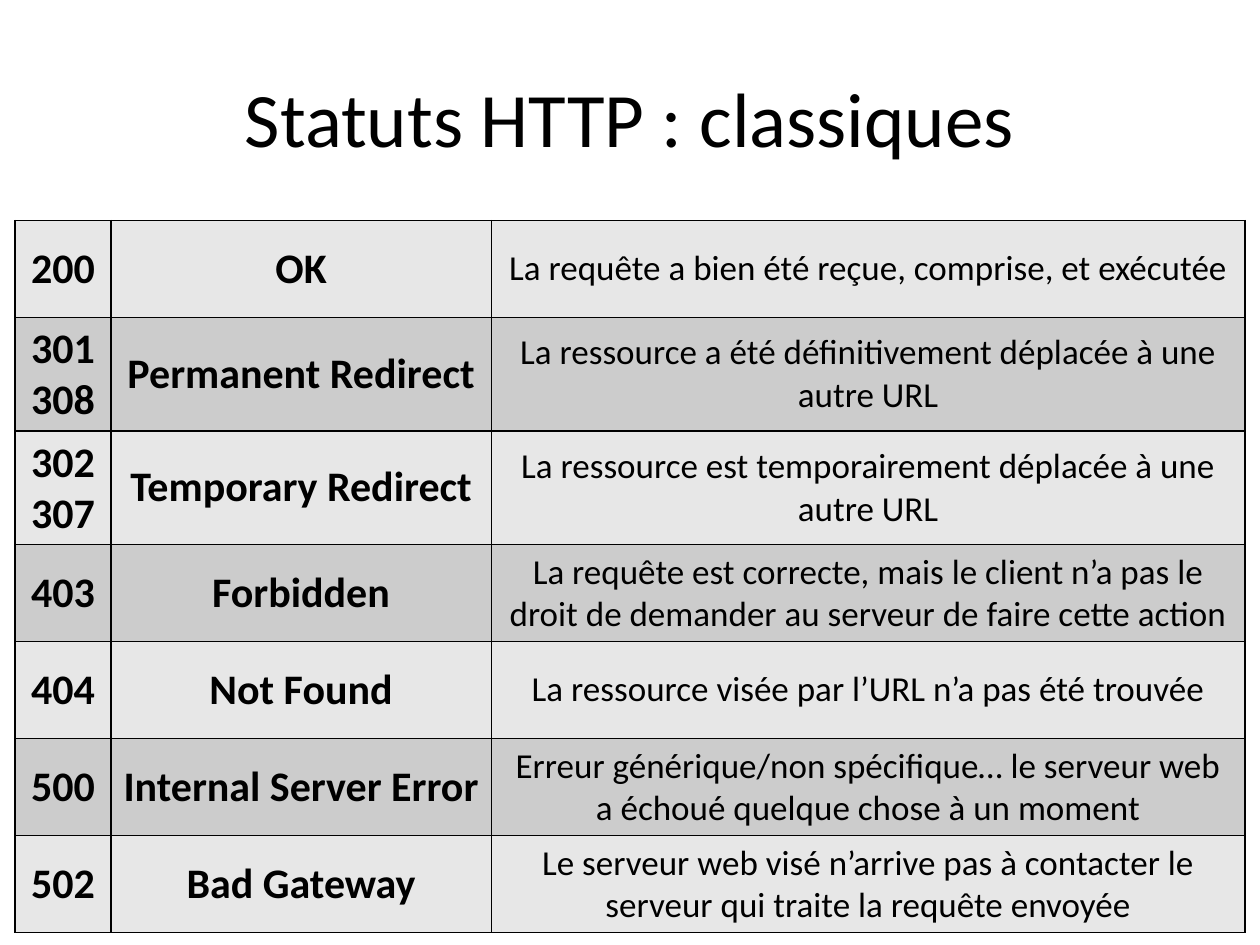
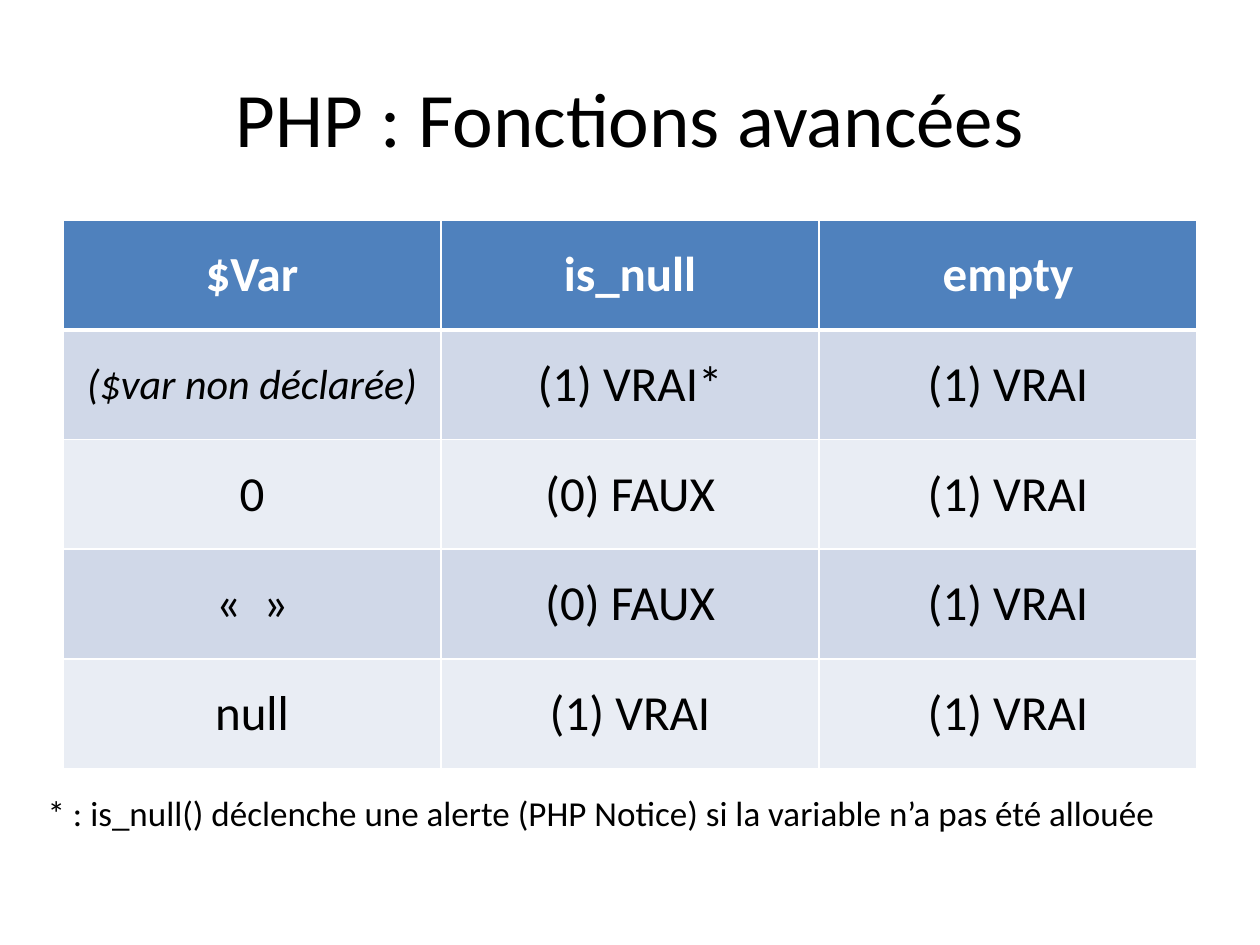
"""Build two slides of tables: common HTTP statuses and PHP null checks."""
from lxml import etree
from pptx import Presentation
from pptx.dml.color import RGBColor
from pptx.enum import text
from pptx.oxml.ns import qn
from pptx.util import Inches, Pt

FONT = "Calibri"
BLACK = RGBColor(0x00, 0x00, 0x00)
WHITE = RGBColor(0xFF, 0xFF, 0xFF)
BLUE = RGBColor(0x4F, 0x81, 0xBD)
GREY_BANDS = (RGBColor(0xE7, 0xE7, 0xE7), RGBColor(0xCC, 0xCC, 0xCC))
BLUE_BANDS = (RGBColor(0xD0, 0xD8, 0xE8), RGBColor(0xE9, 0xED, 0xF4))

STATUS_TITLE = "Statuts HTTP : classiques"
STATUS_WIDTHS = (0.76, 3.02, 5.98)
STATUSES = [
    ("200", "OK", "La requête a bien été reçue, comprise, et exécutée"),
    ("301 308", "Permanent Redirect",
     "La ressource a été définitivement déplacée à une autre URL"),
    ("302 307", "Temporary Redirect",
     "La ressource est temporairement déplacée à une autre URL"),
    ("403", "Forbidden",
     "La requête est correcte, mais le client n’a pas le droit de demander "
     "au serveur de faire cette action"),
    ("404", "Not Found", "La ressource visée par l’URL n’a pas été trouvée"),
    ("500", "Internal Server Error",
     "Erreur générique/non spécifique… le serveur web a échoué quelque chose à un moment"),
    ("502", "Bad Gateway",
     "Le serveur web visé n’arrive pas à contacter le serveur qui traite la requête envoyée"),
]

CHECK_TITLE = "PHP : Fonctions avancées"
CHECK_WIDTHS = (3, 3, 3)
UNDECLARED = "($var non déclarée)"
CHECKS = [
    ("$Var", "is_null", "empty"),
    (UNDECLARED, "(1) VRAI*", " VRAI"),
    ("0", "(0) FAUX", " VRAI"),
    ("«  »", "(0) FAUX", " VRAI"),
    ("null", "(1) VRAI", " VRAI"),
]
CHECK_NOTE = "* : is_null() déclenche une alerte (PHP Notice) si la variable n’a pas été allouée"


def write(frame, words, size=20, color=BLACK, bold=False, italic=False,
          align=text.PP_ALIGN.CENTER, numbered=False):
    para = frame.paragraphs[0]
    para.alignment = align
    if numbered:
        props = para._p.get_or_add_pPr()
        props.set("marL", str(Inches(0.38)))
        props.set("indent", str(-Inches(0.38)))
        etree.SubElement(props, qn("a:buFont"), typeface="+mj-lt")
        etree.SubElement(props, qn("a:buAutoNum"), type="arabicParenBoth")
    span = para.add_run()
    span.text = words
    font = span.font
    font.name, font.size, font.bold, font.italic = FONT, Pt(size), bold, italic
    font.color.rgb = color


def add_text(page, place, words, anchor=text.MSO_ANCHOR.TOP, **style):
    box = page.shapes.add_textbox(*map(Inches, place))
    box.text_frame.word_wrap = True
    box.text_frame.vertical_anchor = anchor
    write(box.text_frame, words, **style)


def add_page(deck, title):
    page = deck.slides.add_slide(deck.slide_layouts[6])
    add_text(page, (0.5, 0.3, 9, 1.25), title, text.MSO_ANCHOR.MIDDLE, size=44)
    return page


def set_borders(cell, color, top=1, bottom=1):
    props = cell._tc.get_or_add_tcPr()
    for side, points in (("L", 1), ("R", 1), ("T", top), ("B", bottom)):
        line = etree.SubElement(props, qn("a:ln" + side), w=str(Pt(points)))
        fill = etree.SubElement(line, qn("a:solidFill"))
        etree.SubElement(fill, qn("a:srgbClr"), val=str(color))


def add_grid(page, left, widths, row_height, rows, describe):
    table = page.shapes.add_table(
        len(rows), len(widths), Inches(left), Inches(1.75),
        Inches(sum(widths)), Inches(row_height * len(rows))).table
    table.first_row = table.horz_banding = False
    for column, width in zip(table.columns, widths):
        column.width = Inches(width)
    for r, row in enumerate(rows):
        table.rows[r].height = Inches(row_height)
        for c, words in enumerate(row):
            cell = table.cell(r, c)
            cell.vertical_anchor = text.MSO_ANCHOR.MIDDLE
            cell.margin_left = cell.margin_right = Inches(0.1)
            fill, borders, style = describe(r, c, words)
            set_borders(cell, **borders)
            cell.fill.solid()
            cell.fill.fore_color.rgb = fill
            write(cell.text_frame, words, **style)


def describe_status(r, c, words):
    style = dict(size=20) if c == 2 else dict(size=24, bold=True)
    return GREY_BANDS[r % 2], dict(color=BLACK), style


def describe_check(r, c, words):
    if r == 0:
        return BLUE, dict(color=WHITE, bottom=3), dict(size=28, color=WHITE, bold=True)
    undeclared = words == UNDECLARED
    style = dict(size=24 if undeclared else 28, italic=undeclared, numbered=c == 2)
    return BLUE_BANDS[(r - 1) % 2], dict(color=WHITE, top=3 if r == 1 else 1), style


def main():
    deck = Presentation()
    deck.slide_width, deck.slide_height = Inches(10), Inches(7.5)

    page = add_page(deck, STATUS_TITLE)
    add_grid(page, 0.12, STATUS_WIDTHS, 0.77, STATUSES, describe_status)

    page = add_page(deck, CHECK_TITLE)
    add_grid(page, 0.5, CHECK_WIDTHS, 0.87, CHECKS, describe_check)
    add_text(page, (0.28, 6.23, 9.45, 0.44), CHECK_NOTE, align=text.PP_ALIGN.LEFT)

    deck.save("out.pptx")


if __name__ == "__main__":
    main()
